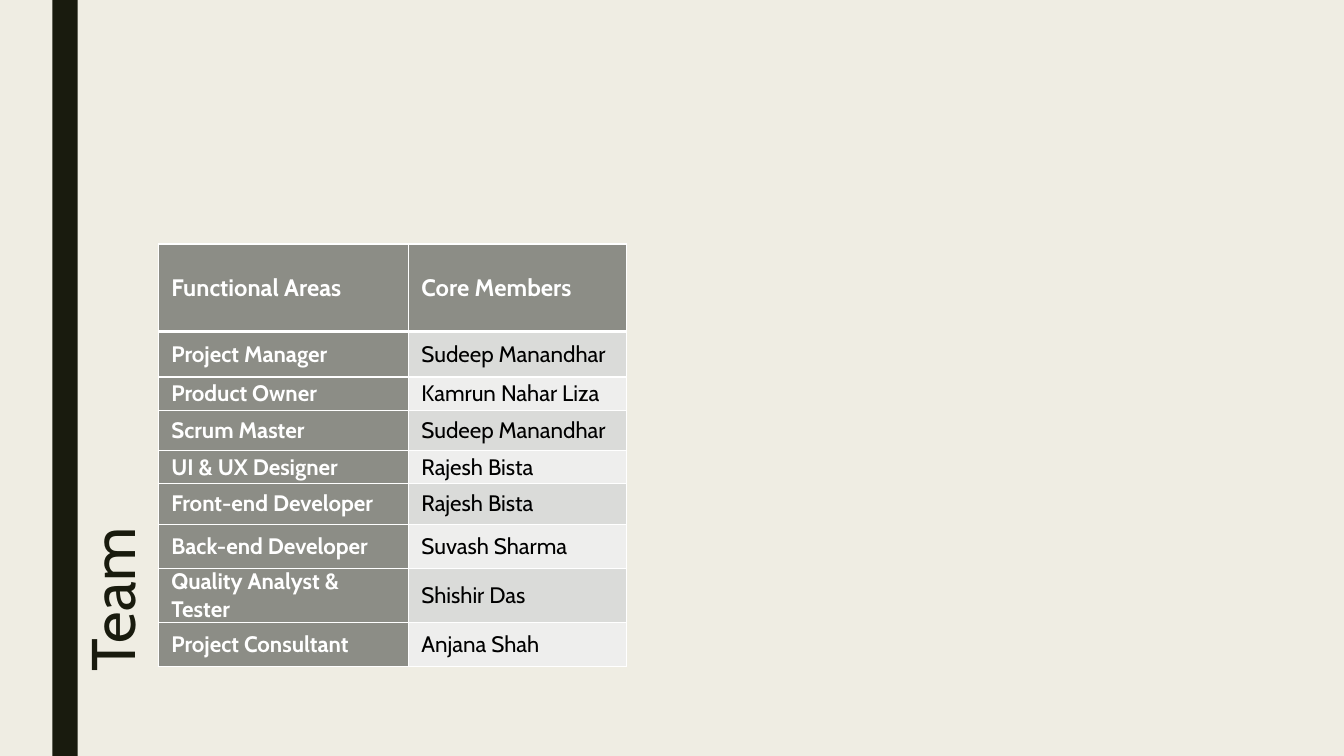
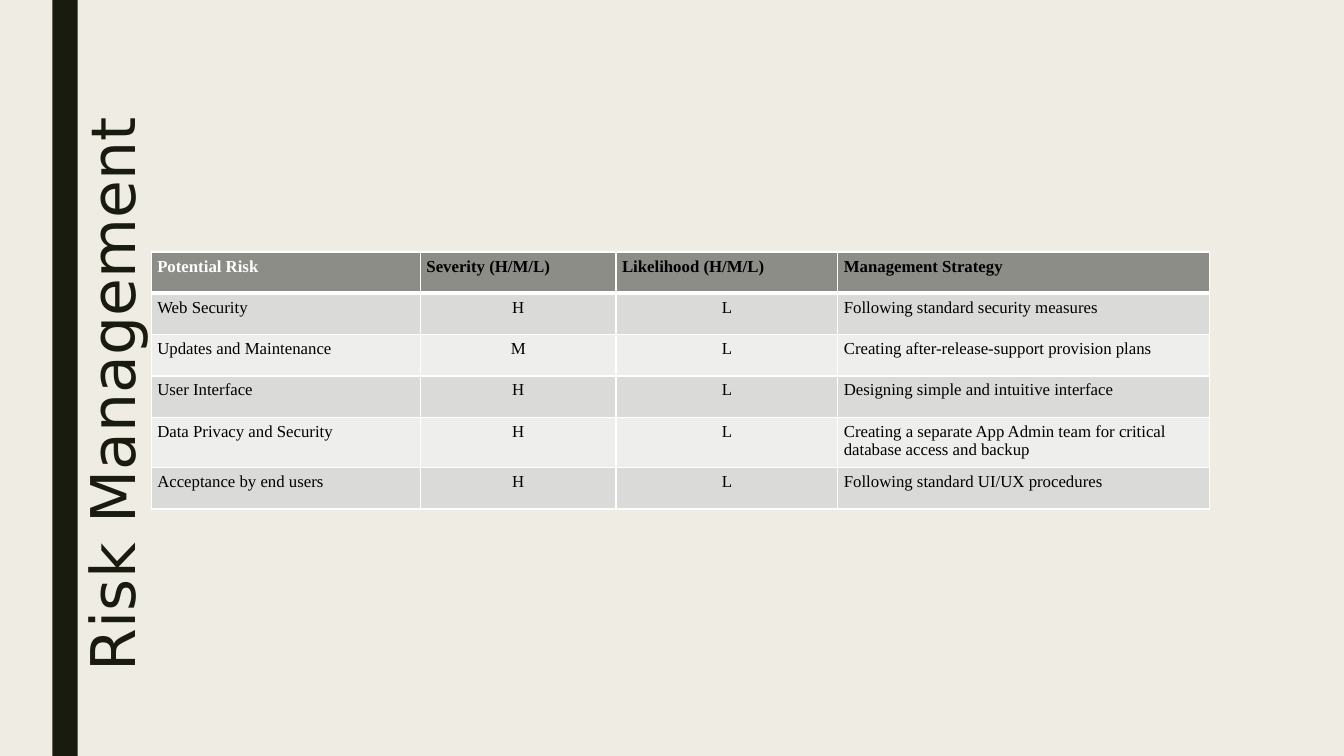
import lxml.etree
import pptx
import pptx.dml.color
import pptx.enum.shapes
import pptx.enum.text
import pptx.oxml.ns
import pptx.util
from pptx.util import Inches

RGBColor = pptx.dml.color.RGBColor
CREAM = RGBColor(0xEF, 0xED, 0xE3)
INK = RGBColor(0x19, 0x1B, 0x0E)
GREY = RGBColor(0x8C, 0x8D, 0x86)
BANDS = (RGBColor(0xDA, 0xDB, 0xD9), RGBColor(0xEE, 0xEE, 0xED))
WHITE = RGBColor(0xFF, 0xFF, 0xFF)
BLACK = RGBColor(0, 0, 0)

ANCHOR = pptx.enum.text.MSO_ANCHOR
ALIGN = pptx.enum.text.PP_ALIGN

TEAM = [
    ("Functional Areas", "Core Members"),
    ("Project Manager", "Sudeep Manandhar"),
    ("Product Owner", "Kamrun Nahar Liza"),
    ("Scrum Master", "Sudeep Manandhar"),
    ("UI & UX Designer", "Rajesh Bista"),
    ("Front-end Developer", "Rajesh Bista"),
    ("Back-end Developer", "Suvash Sharma"),
    ("Quality Analyst & Tester", "Shishir Das"),
    ("Project Consultant", "Anjana Shah"),
]
TEAM_ROW_HEIGHTS = (0.87, 0.45, 0.33, 0.4, 0.33, 0.4, 0.44, 0.4, 0.44)

RISKS = [
    ("Potential Risk", "Severity (H/M/L)", "Likelihood (H/M/L)", "Management Strategy"),
    ("Web Security", "H", "L", "Following standard security measures"),
    ("Updates and Maintenance", "M", "L", "Creating after-release-support provision plans"),
    ("User Interface", "H", "L", "Designing simple and intuitive interface"),
    ("Data Privacy and Security", "H", "L",
     "Creating a separate App Admin team for critical database access and backup"),
    ("Acceptance by end users", "H", "L", "Following standard UI/UX procedures"),
]


def format_text(paragraph, font_name, size, color, bold=False):
    for run in paragraph.runs:
        run.font.name = font_name
        run.font.size = pptx.util.Pt(size)
        run.font.color.rgb = color
        run.font.bold = bold


def add_titled_slide(presentation, title, title_font):
    """Add a slide with the dark side band and a title reading upwards."""
    slide = presentation.slides.add_slide(presentation.slide_layouts[6])
    band = slide.shapes.add_shape(
        pptx.enum.shapes.MSO_SHAPE.RECTANGLE,
        Inches(0.52), 0, Inches(0.25), presentation.slide_height)
    band.shadow.inherit = False
    band.fill.solid()
    band.fill.fore_color.rgb = INK
    band.line.fill.background()

    # The turned title fits between the band and the tables
    title_box = slide.shapes.add_textbox(
        Inches(-1.97), Inches(3.29), Inches(6.23), Inches(0.7))
    title_box.rotation = 270
    text_frame = title_box.text_frame
    text_frame.word_wrap = True
    text_frame.margin_top = text_frame.margin_bottom = 0
    text_frame.vertical_anchor = ANCHOR.MIDDLE
    text_frame.text = title
    paragraph = text_frame.paragraphs[0]
    paragraph.line_spacing = 0.89
    format_text(paragraph, title_font, 44, INK)
    return slide


def set_borders(cell, top_width, bottom_width):
    """Draw white cell borders; call before filling the cell."""
    properties = cell._tc.get_or_add_tcPr()
    qualified = pptx.oxml.ns.qn
    widths = {"a:lnL": 1, "a:lnR": 1, "a:lnT": top_width, "a:lnB": bottom_width}
    for tag, width in widths.items():
        line = lxml.etree.SubElement(
            properties, qualified(tag), w=str(pptx.util.Pt(width)))
        fill = lxml.etree.SubElement(line, qualified("a:solidFill"))
        lxml.etree.SubElement(fill, qualified("a:srgbClr"), val=str(WHITE))


def add_table(slide, rows, left, top, column_widths, row_heights, margins, anchor, style_cell):
    """Add a banded table; style_cell(row, column) gives fill and text format."""
    table = slide.shapes.add_table(
        len(rows), len(column_widths), Inches(left), Inches(top),
        Inches(sum(column_widths)), Inches(sum(row_heights))).table
    for column, width in zip(table.columns, column_widths):
        column.width = Inches(width)
    for row, height in zip(table.rows, row_heights):
        row.height = Inches(height)
    side_margin, end_margin = margins
    for row_index, row in enumerate(rows):
        for column_index, text in enumerate(row):
            cell = table.cell(row_index, column_index)
            fill_color, alignment, text_format = style_cell(row_index, column_index)
            set_borders(cell, 3 if row_index == 1 else 1, 3 if row_index == 0 else 1)
            cell.fill.solid()
            cell.fill.fore_color.rgb = fill_color
            cell.margin_left = cell.margin_right = Inches(side_margin)
            cell.margin_top = cell.margin_bottom = Inches(end_margin)
            cell.vertical_anchor = anchor
            cell.text_frame.text = text
            paragraph = cell.text_frame.paragraphs[0]
            paragraph.alignment = alignment
            format_text(paragraph, *text_format)


def band_color(row):
    return BANDS[(row - 1) % 2]


def style_team_cell(row, column):
    size = 17 if row == 0 else 16
    if row == 0 or column == 0:
        return GREY, ALIGN.LEFT, ("Cabin", size, WHITE, True)
    return band_color(row), ALIGN.LEFT, ("Cabin", size, BLACK)


def style_risk_cell(row, column):
    if row == 0:
        color = WHITE if column == 0 else BLACK
        return GREY, ALIGN.LEFT, ("Times New Roman", 12, color, True)
    alignment = ALIGN.CENTER if column in (1, 2) else ALIGN.LEFT
    return band_color(row), alignment, ("Times New Roman", 12, BLACK)


def main():
    presentation = pptx.Presentation()
    presentation.slide_width = Inches(13.33)
    presentation.slide_height = Inches(7.5)
    background = presentation.slide_master.background.fill
    background.solid()
    background.fore_color.rgb = CREAM

    # Team
    slide = add_titled_slide(presentation, "Team", "Cabin")
    add_table(slide, TEAM, 1.57, 2.42, (2.48, 2.16), TEAM_ROW_HEIGHTS,
              (0.13, 0), ANCHOR.MIDDLE, style_team_cell)

    # Risk management
    slide = add_titled_slide(presentation, "Risk Management", "DejaVu Sans")
    add_table(slide, RISKS, 1.5, 2.5, (2.67, 1.94, 2.2, 3.69), [0.41] * len(RISKS),
              (0.06, 0.05), ANCHOR.TOP, style_risk_cell)

    presentation.save("out.pptx")


main()
